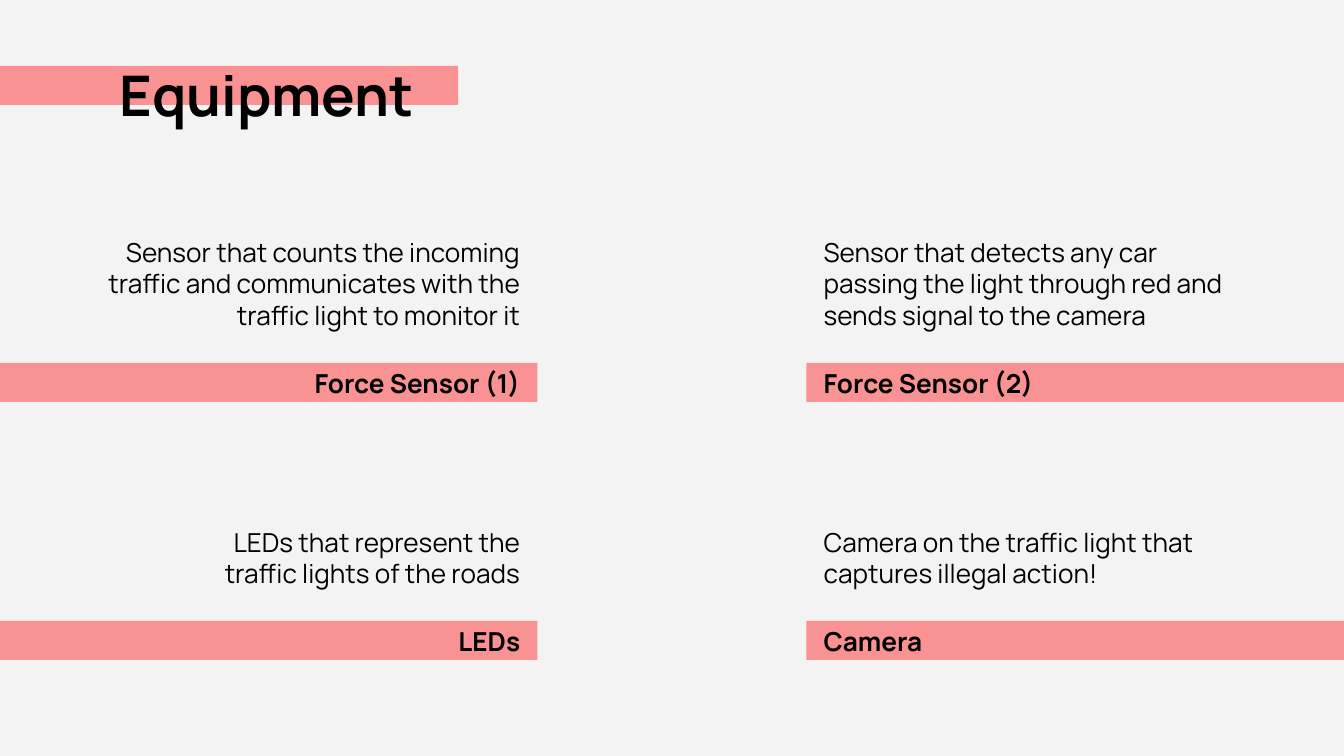
from lxml import etree
from pptx import Presentation
from pptx.dml.color import RGBColor
from pptx.enum.shapes import MSO_SHAPE
from pptx.enum.text import MSO_ANCHOR, PP_ALIGN
from pptx.oxml.ns import qn
from pptx.util import Inches, Pt

RECTANGLE = MSO_SHAPE.RECTANGLE
TOP, BOTTOM = MSO_ANCHOR.TOP, MSO_ANCHOR.BOTTOM
LEFT, RIGHT = PP_ALIGN.LEFT, PP_ALIGN.RIGHT

FONT = "Manrope"
BACKGROUND, BAR, TEXT = "F3F3F3", "FF3D3D", "000000"
BAR_OPACITY = 53
SLIDE_WIDTH = 10
SLIDE_HEIGHT = SLIDE_WIDTH * 9 / 16
BAR_WIDTH, BAR_HEIGHT = 4, 0.29
LABEL_WIDTH, LABEL_HEIGHT = 2.16, 0.35
DESCRIPTION_HEIGHT = 1.21
LEFT_TEXT_END, RIGHT_TEXT_START = 3.97, 6.03
ROW_TOPS = (2.7, 4.62)

# row, alignment, name, description, description width
ITEMS = [
    (0, RIGHT, "Force Sensor (1)",
     "Sensor that counts the incoming traffic and communicates with the "
     "traffic light to monitor it", 3.41),
    (0, LEFT, "Force Sensor (2)",
     "Sensor that detects any car passing the light through red and "
     "sends signal to the camera", 3.33),
    (1, RIGHT, "LEDs",
     "LEDs that represent the traffic lights of the roads", 2.69),
    (1, LEFT, "Camera",
     "Camera on the traffic light that captures illegal action!", 3.07),
]


def color(hex_value):
    return RGBColor.from_string(hex_value)


def add_bar(slide, left, top, width):
    """Add a translucent highlight bar."""
    shape = slide.shapes.add_shape(
        RECTANGLE, Inches(left), Inches(top), Inches(width), Inches(BAR_HEIGHT))
    shape.shadow.inherit = False
    shape.line.fill.background()
    shape.fill.solid()
    shape.fill.fore_color.rgb = color(BAR)
    fill_color = shape._element.spPr.find(qn("a:solidFill")).find(qn("a:srgbClr"))
    alpha = etree.SubElement(fill_color, qn("a:alpha"))
    alpha.set("val", str(BAR_OPACITY * 1000))


def add_text(slide, text, left, top, width, height, *, size=14, bold=False,
             align=LEFT, anchor=TOP):
    box = slide.shapes.add_textbox(
        Inches(left), Inches(top), Inches(width), Inches(height))
    frame = box.text_frame
    frame.word_wrap = True
    frame.vertical_anchor = anchor
    frame.margin_left = frame.margin_right = Inches(0.1)
    frame.margin_top = frame.margin_bottom = Inches(0.1)
    paragraph = frame.paragraphs[0]
    paragraph.alignment = align
    run = paragraph.add_run()
    run.text = text
    run.font.name = FONT
    run.font.size = Pt(size)
    run.font.bold = bold
    run.font.color.rgb = color(TEXT)


def add_item(slide, row, align, name, description, description_width):
    """Add one piece of equipment: bar, name on it, description above it."""
    bar_top = ROW_TOPS[row]
    on_left = align == RIGHT

    def text_left(width):
        return LEFT_TEXT_END - width if on_left else RIGHT_TEXT_START

    add_bar(slide, 0 if on_left else SLIDE_WIDTH - BAR_WIDTH, bar_top, BAR_WIDTH)
    add_text(slide, name, text_left(LABEL_WIDTH), bar_top - 0.07,
             LABEL_WIDTH, LABEL_HEIGHT, bold=True, align=align)
    add_text(slide, description, text_left(description_width), bar_top - 1.35,
             description_width, DESCRIPTION_HEIGHT, align=align, anchor=BOTTOM)


def main():
    presentation = Presentation()
    presentation.slide_width = Inches(SLIDE_WIDTH)
    presentation.slide_height = Inches(SLIDE_HEIGHT)
    slide = presentation.slides.add_slide(presentation.slide_layouts[6])
    slide.background.fill.solid()
    slide.background.fill.fore_color.rgb = color(BACKGROUND)

    add_bar(slide, 0, 0.49, 3.41)
    add_text(slide, "Equipment", 0.79, 0.22, 7.3, 0.83,
             size=30, bold=True, anchor=BOTTOM)
    for item in ITEMS:
        add_item(slide, *item)

    presentation.save("out.pptx")


if __name__ == "__main__":
    main()
